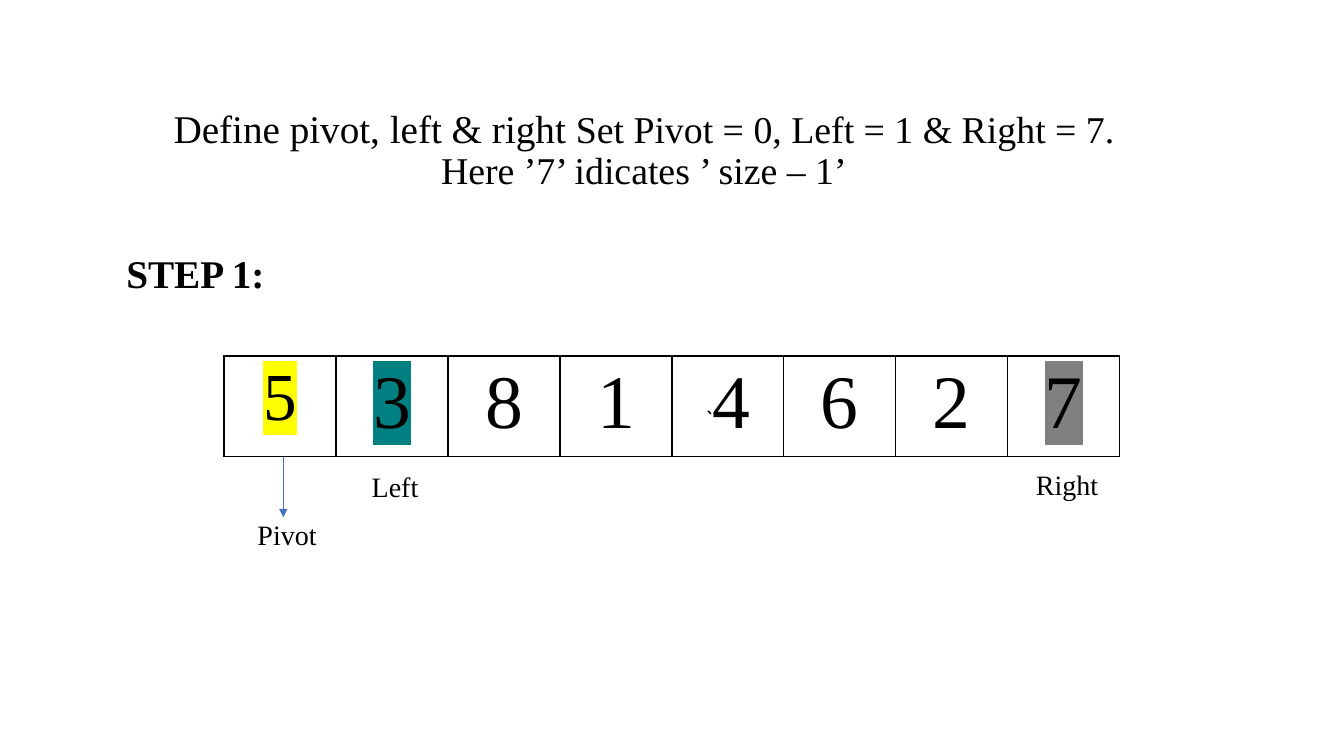
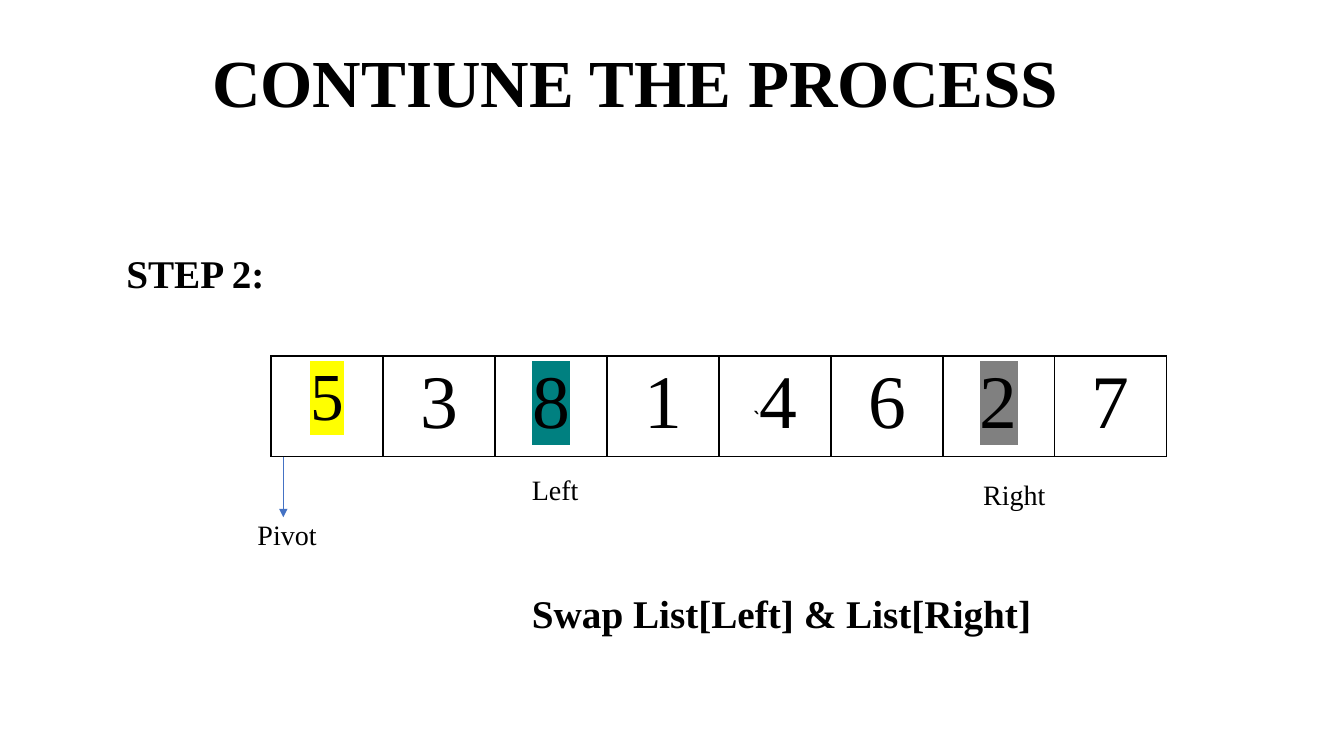
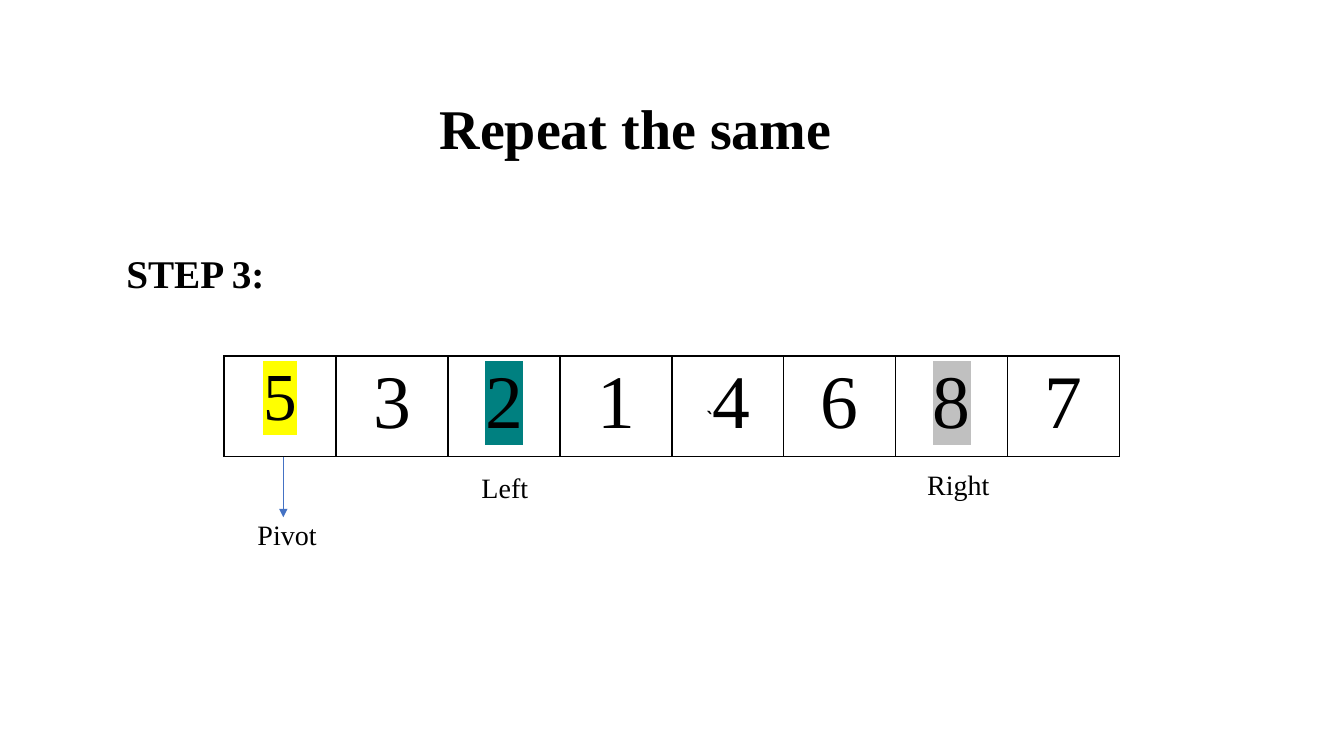
"""Three steps of partitioning a list in quicksort."""
from dataclasses import dataclass

from lxml import etree
from pptx import Presentation
from pptx import util as u
from pptx.dml.color import RGBColor
from pptx.enum import shapes, text
from pptx.oxml import ns


@dataclass(frozen=True)
class Theme:
    """Colours, fonts and type sizes of all slides."""
    font: str = "Times New Roman"
    tick_font: str = "Calibri"
    ink: str = "000000"
    arrow: str = "4472C4"
    pivot: str = "FFFF00"
    left: str = "008080"
    right: str = "808080"
    right_light: str = "C0C0C0"
    body: int = 28
    label: int = 20
    digit: int = 54
    pivot_digit: int = 48
    tick: int = 18
    line: float = 0.9


@dataclass(frozen=True)
class Mark:
    """A highlighted cell and its label, offset from the cell's lower left corner."""
    cell: int
    name: str
    colour: str
    dx: float
    dy: float


T = Theme()
prs = Presentation()
prs.slide_width, prs.slide_height = u.Inches(13.33), u.Inches(7.5)
COL, ROW = prs.slide_width / 12, prs.slide_height / 12
TABLE_TOP, TABLE_ROWS = 5.65, 1.54
TABLE_BOTTOM = TABLE_TOP + TABLE_ROWS


def place(x, y, w, h):
    """Turn grid columns and rows into slide lengths."""
    return round(x * COL), round(y * ROW), round(w * COL), round(h * ROW)


def add_xml(parent, tag, **attrs):
    """Append a DrawingML element."""
    return etree.SubElement(parent, ns.qn(tag), **attrs)


def style(p, size, bold=False, align=None, spacing=None):
    """Set the font and layout of a paragraph."""
    p.font.name, p.font.size, p.font.bold = T.font, u.Pt(size), bold
    p.font.color.rgb = RGBColor.from_string(T.ink)
    p.alignment, p.line_spacing = align, spacing


def add_run(p, words, size=None, font=None, highlight=None):
    """Add a run with what differs from its paragraph."""
    r = p.add_run()
    r.text = words
    if size:
        r.font.size = u.Pt(size)
    if font:
        r.font.name = font
    if highlight:
        mark = add_xml(r._r.get_or_add_rPr(), "a:highlight")
        add_xml(mark, "a:srgbClr", val=highlight)


def text_frame(s, box):
    """Add a wrapping text box and return its frame."""
    tf = s.shapes.add_textbox(*place(*box)).text_frame
    tf.word_wrap = True
    return tf


def title(s, box, runs):
    """Write a centred title that stands on the bottom of its box."""
    tf = text_frame(s, box)
    tf.vertical_anchor = text.MSO_ANCHOR.BOTTOM
    p = tf.paragraphs[0]
    style(p, runs[0][1], runs[0][2], text.PP_ALIGN.CENTER, T.line)
    for words, size, _ in runs:
        add_run(p, words, size)


def body(s, box, step, action):
    """Write the step heading and the action below the list."""
    tf = text_frame(s, box)
    p = tf.paragraphs[0]
    style(p, T.body, True, spacing=T.line)
    add_run(p, step)
    if action:
        p = tf.add_paragraph()
        style(p, T.body, True, text.PP_ALIGN.CENTER, T.line)
        p.space_before = u.Pt(212)
        p._p.get_or_add_pPr().set("marL", str(u.Inches(1.75)))
        add_run(p, action)


def label(s, box, words):
    """Write a small label."""
    p = text_frame(s, box).paragraphs[0]
    style(p, T.label)
    add_run(p, words)


def cell_border(cell):
    """Draw a thin line on all four sides of a cell."""
    tcPr = cell._tc.get_or_add_tcPr()
    for side in ("a:lnL", "a:lnR", "a:lnT", "a:lnB"):
        ln = add_xml(tcPr, side, w=str(u.Pt(1)))
        add_xml(add_xml(ln, "a:solidFill"), "a:srgbClr", val=T.ink)


def number_list(s, box, digits, colours):
    """Draw the list as one table row with highlighted cells."""
    table = s.shapes.add_table(1, len(digits), *place(*box)).table
    table.first_row = table.horz_banding = False
    for i, digit in enumerate(digits):
        cell = table.cell(0, i)
        cell_border(cell)
        cell.fill.background()
        p = cell.text_frame.paragraphs[0]
        style(p, T.digit if i else T.pivot_digit, align=text.PP_ALIGN.CENTER)
        if digit == "4":
            add_run(p, "`", T.tick, T.tick_font)
        add_run(p, digit, highlight=colours.get(i))


def pivot_pointer(s, x, y):
    """Draw the arrow from the list down to the pivot label."""
    left, top, _, height = place(x, y, 0, 0.96)
    line = s.shapes.add_connector(shapes.MSO_CONNECTOR.STRAIGHT, left, top, left, top + height)
    line.line.color.rgb = RGBColor.from_string(T.arrow)
    line.line.width = u.Pt(0.5)
    add_xml(line.line._get_or_add_ln(), "a:tailEnd", type="triangle")
    add_xml(line._element.spPr, "a:effectLst")
    label(s, (x - 0.32, y + 0.89, 0.9, 0.7), "Pivot")


def step_slide(number, title_rows, title_runs, list_left, digits, marks, action=None):
    """Build one step: title, heading, list, pointer and labels."""
    s = prs.slides.add_slide(prs.slide_layouts[6])
    title(s, (1.25, 0.29, 9, title_rows), title_runs)
    body(s, (1.04, 3.97, 10.3, 6.83), f"STEP {number}:", action)
    colours = {0: T.pivot} | {m.cell: m.colour for m in marks}
    number_list(s, (list_left, TABLE_TOP, len(digits), TABLE_ROWS), digits, colours)
    pivot_pointer(s, 2.53, TABLE_BOTTOM + 0.06)
    for m in marks:
        label(s, (list_left + m.cell + m.dx, TABLE_BOTTOM + m.dy, 1.09, 0.7), m.name)


step_slide(1, 2.85,
           [("Define pivot, left & right ", 28, False),
            ("Set Pivot = 0, Left = 1 & Right = 7. Here ’7’ idicates ’ size – 1’", 27, False)],
           2, "53814627",
           [Mark(1, "Left", T.left, 0.23, 0.19), Mark(7, "Right", T.right, 0.16, 0.15)])
step_slide(2, 1.73, [("CONTIUNE THE PROCESS ", 48, True)],
           2.42, "53814627",
           [Mark(2, "Left", T.left, 0.24, 0.23), Mark(6, "Right", T.right, 0.27, 0.31)],
           "Swap List[Left] & List[Right]")
step_slide(3, 2.4, [("Repeat the same", 40, True), (" ", 48, True)],
           2, "53214687",
           [Mark(2, "Left", T.left, 0.21, 0.2), Mark(6, "Right", T.right_light, 0.19, 0.15)])
prs.save("out.pptx")
